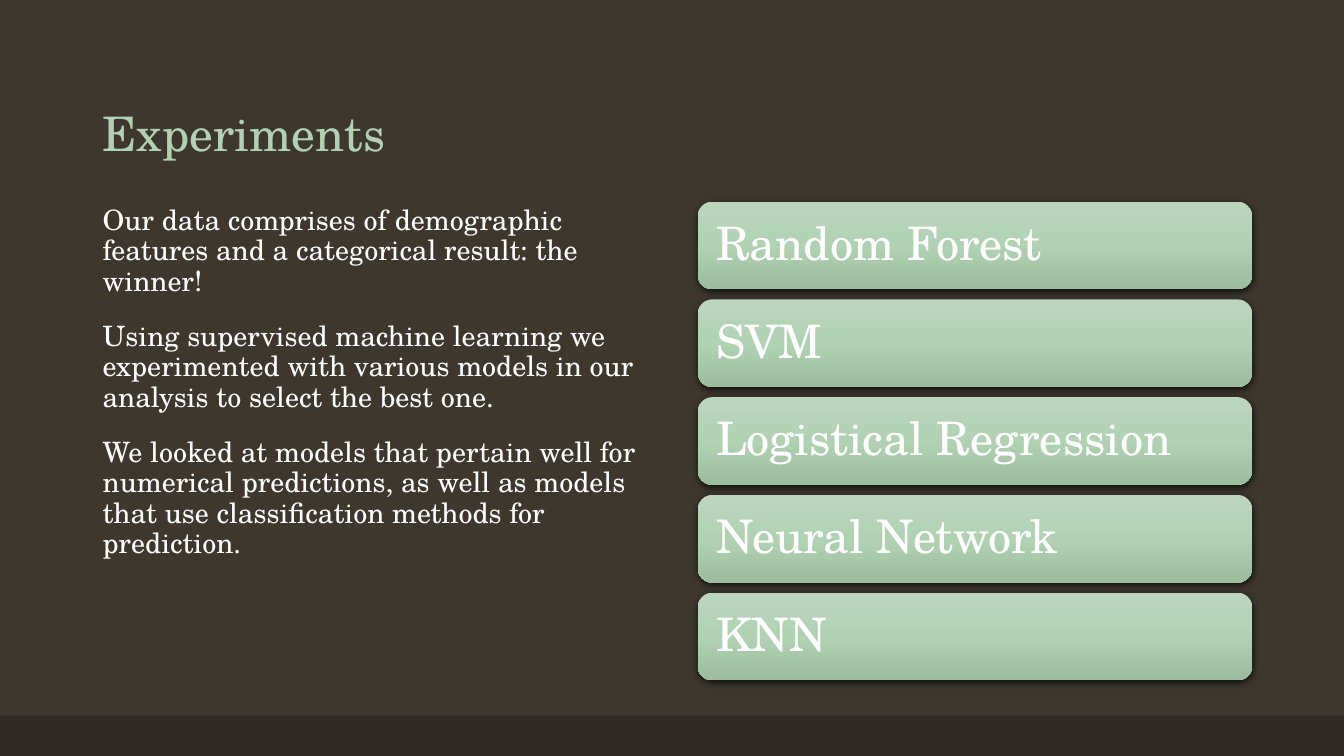
from lxml import etree
from pptx import Presentation
from pptx.dml.color import RGBColor
from pptx.enum.shapes import MSO_SHAPE
from pptx.enum.text import MSO_ANCHOR, PP_ALIGN
from pptx.oxml import parse_xml
from pptx.oxml.ns import qn
from pptx.util import Inches, Pt

RECTANGLE, ROUNDED = MSO_SHAPE.RECTANGLE, MSO_SHAPE.ROUNDED_RECTANGLE
TOP, MIDDLE, BOTTOM = MSO_ANCHOR.TOP, MSO_ANCHOR.MIDDLE, MSO_ANCHOR.BOTTOM
LEFT = PP_ALIGN.LEFT

TITLE = "Experiments"
SUMMARY = [
    "Our data comprises of demographic features and a categorical result: the winner!",
    "Using supervised machine learning we experimented with various models in our "
    "analysis to select the best one.",
    "We looked at models that pertain well for numerical predictions, as well as models "
    "that use classification methods for prediction.",
]
MODELS = ["Random Forest", "SVM", "Logistical Regression", "Neural Network", "KNN"]

FONT = "TeX Gyre Schola"
BROWN = RGBColor(0x3D, 0x37, 0x2E)
DARK_BROWN = RGBColor(0x2E, 0x29, 0x23)
SAGE = RGBColor(0xB2, 0xD0, 0xB4)
WHITE = RGBColor(0xFF, 0xFF, 0xFF)
MODEL_GRADIENT = [(0, "BCD6BE"), (50, "B0D2B3"), (100, "9BBC9D")]

SLIDE_WIDTH, SLIDE_HEIGHT = 13.33, 7.5
FOOTER_HEIGHT = 0.4
MARGIN = 0.92
COLUMN_WIDTH = 5.5
CONTENT_TOP = 2
MODEL_LEFT = SLIDE_WIDTH - 0.91 - COLUMN_WIDTH
MODEL_HEIGHT, MODEL_PITCH = 0.87, 0.97
DRAWING_NS = 'xmlns:a="http://schemas.openxmlformats.org/drawingml/2006/main"'


def write(shape, lines, size, color, anchor, inset=0.1, space=0):
    frame = shape.text_frame
    frame.word_wrap = True
    frame.vertical_anchor = anchor
    frame.margin_left = frame.margin_right = Inches(inset)
    frame.text = "\n".join(lines)
    for index, paragraph in enumerate(frame.paragraphs):
        paragraph.alignment = LEFT
        paragraph.line_spacing = 0.9
        paragraph.space_before = Pt(space if index else 0)
        paragraph.font.name = FONT
        paragraph.font.size = Pt(size)
        paragraph.font.color.rgb = color


def style_model(shape):
    shape.line.fill.background()
    shape.shadow.inherit = False
    properties = shape.element.spPr
    stops = "".join(
        f'<a:gs pos="{percent * 1000}"><a:srgbClr val="{color}"/></a:gs>'
        for percent, color in MODEL_GRADIENT
    )
    properties.find(qn("a:prstGeom")).addnext(parse_xml(
        f'<a:gradFill {DRAWING_NS} rotWithShape="1"><a:gsLst>{stops}</a:gsLst>'
        '<a:lin ang="5400000" scaled="0"/></a:gradFill>'
    ))
    shadow = etree.SubElement(
        properties.find(qn("a:effectLst")), qn("a:outerShdw"),
        blurRad=str(Pt(4.5)), dist=str(Pt(1.5)), dir="5400000",
        algn="ctr", rotWithShape="0",
    )
    black = etree.SubElement(shadow, qn("a:srgbClr"), val="000000")
    etree.SubElement(black, qn("a:alpha"), val="63000")


def main():
    deck = Presentation()
    deck.slide_width, deck.slide_height = Inches(SLIDE_WIDTH), Inches(SLIDE_HEIGHT)
    slide = deck.slides.add_slide(deck.slide_layouts[6])
    slide.background.fill.solid()
    slide.background.fill.fore_color.rgb = BROWN
    shapes = slide.shapes

    footer = shapes.add_shape(
        RECTANGLE, 0, Inches(SLIDE_HEIGHT - FOOTER_HEIGHT),
        Inches(SLIDE_WIDTH), Inches(FOOTER_HEIGHT))
    footer.shadow.inherit = False
    footer.fill.solid()
    footer.fill.fore_color.rgb = DARK_BROWN
    footer.line.fill.background()

    title = shapes.add_textbox(Inches(MARGIN), Inches(0.4), Inches(11.5), Inches(1.25))
    write(title, [TITLE], 34, SAGE, BOTTOM)

    summary = shapes.add_textbox(
        Inches(MARGIN), Inches(CONTENT_TOP), Inches(COLUMN_WIDTH), Inches(4.76))
    write(summary, SUMMARY, 20, WHITE, TOP, space=18)

    for row, name in enumerate(MODELS):
        model = shapes.add_shape(
            ROUNDED, Inches(MODEL_LEFT), Inches(CONTENT_TOP + row * MODEL_PITCH),
            Inches(COLUMN_WIDTH), Inches(MODEL_HEIGHT))
        style_model(model)
        write(model, [name], 33, WHITE, MIDDLE, inset=0.14)

    deck.save("out.pptx")


if __name__ == "__main__":
    main()
